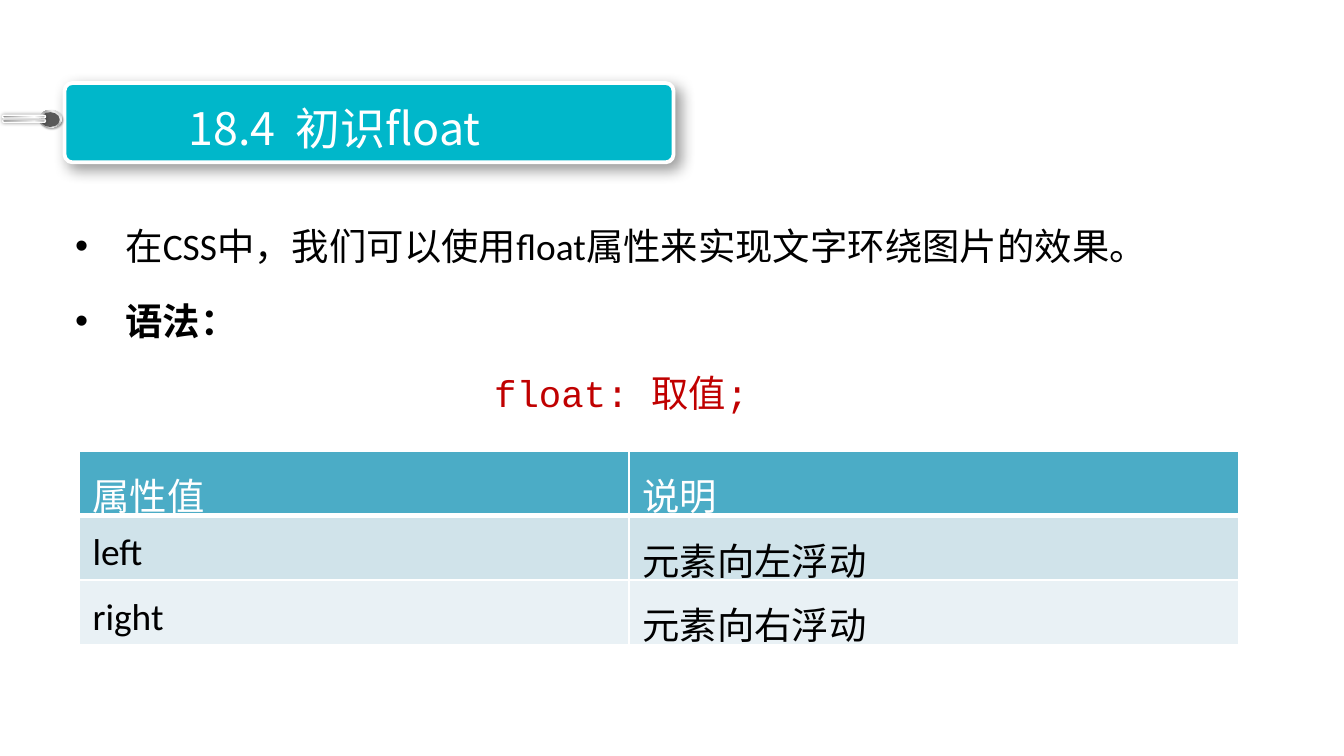
"""Build a slide that introduces the CSS float property."""
import pptx
import pptx.dml.color
import pptx.enum.shapes
import pptx.enum.text
import pptx.oxml
import pptx.oxml.ns
import pptx.util

Cm, Pt = pptx.util.Cm, pptx.util.Pt
RGB = pptx.dml.color.RGBColor
SHAPE = pptx.enum.shapes.MSO_SHAPE
ALIGN = pptx.enum.text.PP_ALIGN
qn = pptx.oxml.ns.qn
NS = pptx.oxml.ns.nsdecls("a")

WHITE, BLACK = RGB(255, 255, 255), RGB(0, 0, 0)
TURQUOISE, RED, GRAY = RGB(0, 0xB7, 0xCA), RGB(0xC0, 0, 0), RGB(0x59, 0x59, 0x59)
HEADER, BAND_DARK, BAND_LIGHT = RGB(0x4B, 0xAC, 0xC6), RGB(0xD0, 0xE3, 0xEA), RGB(0xE9, 0xF1, 0xF5)
CJK, LATIN, MONO = "Noto Sans CJK SC", "Calibri", "Courier New"

TITLE = "18.4  初识float"
POINTS = [("在CSS中，我们可以使用float属性来实现文字环绕图片的效果。", False), ("语法：", True)]
SYNTAX = "float: 取值;"
ROWS = [("属性值", "说明"), ("left", "元素向左浮动"), ("right", "元素向右浮动")]
ROW_FILLS = [HEADER, BAND_DARK, BAND_LIGHT]
COL_WIDTHS, ROW_HEIGHT = [10.39, 11.53], 1.21

RING = [(0, "FFFFFF"), (17, "A6A6A6"), (35, "F2F2F2"), (55, "A6A6A6"), (75, "F2F2F2"), (100, "A6A6A6")]
METAL = [(0, "808080"), (23, "A6A6A6"), (52, "D9D9D9"), (74, "FFFFFF"), (100, "A6A6A6")]


def add_shape(shapes, kind, box, rotation=0, shadow=None):
    sp = shapes.add_shape(kind, *map(Cm, box))
    sp.rotation = rotation
    sp.line.fill.background()
    sp.shadow.inherit = False
    if shadow:
        blur, dist, angle = shadow
        sp._element.spPr.find(qn("a:effectLst")).append(pptx.oxml.parse_xml(
            f'<a:outerShdw {NS} blurRad="{Pt(blur)}" dist="{Pt(dist)}" dir="{angle * 60000}" '
            'algn="ctr" rotWithShape="0"><a:srgbClr val="000000"><a:alpha val="40000"/>'
            '</a:srgbClr></a:outerShdw>'))
    return sp


def outline(sp, width):
    sp.line.color.rgb = WHITE
    sp.line.width = Pt(width)


def fill_gradient(sp, stops, angle):
    sp.fill.gradient()
    sp.fill.gradient_angle = 360 - angle
    gs_list = sp._element.spPr.find(qn("a:gradFill")).find(qn("a:gsLst"))
    for gs in list(gs_list):
        gs_list.remove(gs)
    for pos, color in stops:
        gs_list.append(pptx.oxml.parse_xml(
            f'<a:gs {NS} pos="{pos * 1000}"><a:srgbClr val="{color}"/></a:gs>'))


def set_text(p, text, size, font, color, bold=None):
    p.text = text
    for r in p.runs:
        r.font.size, r.font.name, r.font.bold = Pt(size), font, bold
        r.font.color.rgb = color
        r.font._element.find(qn("a:latin")).addnext(
            pptx.oxml.parse_xml(f'<a:ea {NS} typeface="{CJK}"/>'))


def set_borders(cell, bottom):
    tc_pr = cell._tc.get_or_add_tcPr()
    for i, (side, width) in enumerate([("L", 1), ("R", 1), ("T", 1), ("B", bottom)]):
        tc_pr.insert(i, pptx.oxml.parse_xml(
            f'<a:ln{side} {NS} w="{Pt(width)}"><a:solidFill><a:srgbClr val="FFFFFF"/>'
            f'</a:solidFill></a:ln{side}>'))


def add_banner(s):
    sp = add_shape(s.shapes, SHAPE.ROUNDED_RECTANGLE, (1.22, 1.57, 11.51, 1.5), shadow=(8, 4, 45))
    sp.adjustments[0] = 0.1
    sp.fill.solid()
    sp.fill.fore_color.rgb = TURQUOISE
    outline(sp, 2)

    eyelet = s.shapes.add_group_shape().shapes
    sp = add_shape(eyelet, SHAPE.OVAL, (0.79, 2.03, 0.33, 0.43), 270, (1, 1, 45))
    fill_gradient(sp, RING, 45)
    sp = add_shape(eyelet, SHAPE.OVAL, (0.81, 2.08, 0.28, 0.36), 270)
    sp.fill.solid()
    sp.fill.fore_color.rgb = GRAY

    wires = s.shapes.add_group_shape().shapes
    for top in (1.88, 1.8):
        sp = add_shape(wires, SHAPE.ROUNDED_RECTANGLE, (0.43, top, 0.05, 0.81), 270, (2, 0, 0))
        sp.adjustments[0] = 0.5
        fill_gradient(sp, METAL, 90)
        outline(sp, 0.75)


def add_title(s):
    sp = s.shapes.title
    sp.left, sp.top, sp.width, sp.height = map(Cm, (0.71, 1.78, 11.23, 1.27))
    s.shapes._spTree.append(sp._element)
    tf = sp.text_frame
    tf.vertical_anchor = pptx.enum.text.MSO_ANCHOR.TOP
    tf.auto_size = pptx.enum.text.MSO_AUTO_SIZE.NONE
    p = tf.paragraphs[0]
    set_text(p, TITLE, 24, CJK, WHITE)
    p.alignment = ALIGN.CENTER


def add_points(s):
    tf = s.shapes.add_textbox(*map(Cm, (1.17, 3.68, 23.37, 4.19))).text_frame
    tf.word_wrap = True
    for i, (text, bold) in enumerate(POINTS):
        p = tf.add_paragraph() if i else tf.paragraphs[0]
        set_text(p, text, 20, LATIN, BLACK, bold)
        p.line_spacing, p.space_before = 1.5, Pt(4)
        p_pr = p._p.get_or_add_pPr()
        p_pr.set("marL", str(Cm(0.95)))
        p_pr.set("indent", str(-Cm(0.95)))
        p_pr.append(pptx.oxml.parse_xml(f'<a:buFont {NS} typeface="Arial"/>'))
        p_pr.append(pptx.oxml.parse_xml(f'<a:buChar {NS} char="•"/>'))


def add_syntax(s):
    tf = s.shapes.add_textbox(*map(Cm, (9.09, 6.76, 5.08, 1.14))).text_frame
    tf.word_wrap = False
    p = tf.paragraphs[0]
    set_text(p, SYNTAX, 20, MONO, RED)
    p.line_spacing = Pt(27)


def add_values(s):
    table = s.shapes.add_table(len(ROWS), len(COL_WIDTHS), Cm(1.5), Cm(8.53),
                               Cm(sum(COL_WIDTHS)), Cm(ROW_HEIGHT * len(ROWS))).table
    for col, width in zip(table.columns, COL_WIDTHS):
        col.width = Cm(width)
    for i, (texts, color) in enumerate(zip(ROWS, ROW_FILLS)):
        table.rows[i].height = Cm(ROW_HEIGHT)
        for j, text in enumerate(texts):
            cell = table.cell(i, j)
            cell.margin_left = cell.margin_right = Cm(0.25)
            cell.margin_top = cell.margin_bottom = Cm(0.1)
            cell.fill.solid()
            cell.fill.fore_color.rgb = color
            set_borders(cell, 1 if i else 3)
            p = cell.text_frame.paragraphs[0]
            set_text(p, text, 20, LATIN, BLACK if i else WHITE, False)
            p.line_spacing = 1.2


def main():
    prs = pptx.Presentation()
    prs.slide_width, prs.slide_height = Cm(25.4), Cm(14.29)
    s = prs.slides.add_slide(prs.slide_layouts[5])
    add_banner(s)
    add_title(s)
    add_points(s)
    add_syntax(s)
    add_values(s)
    prs.save("out.pptx")


if __name__ == "__main__":
    main()
